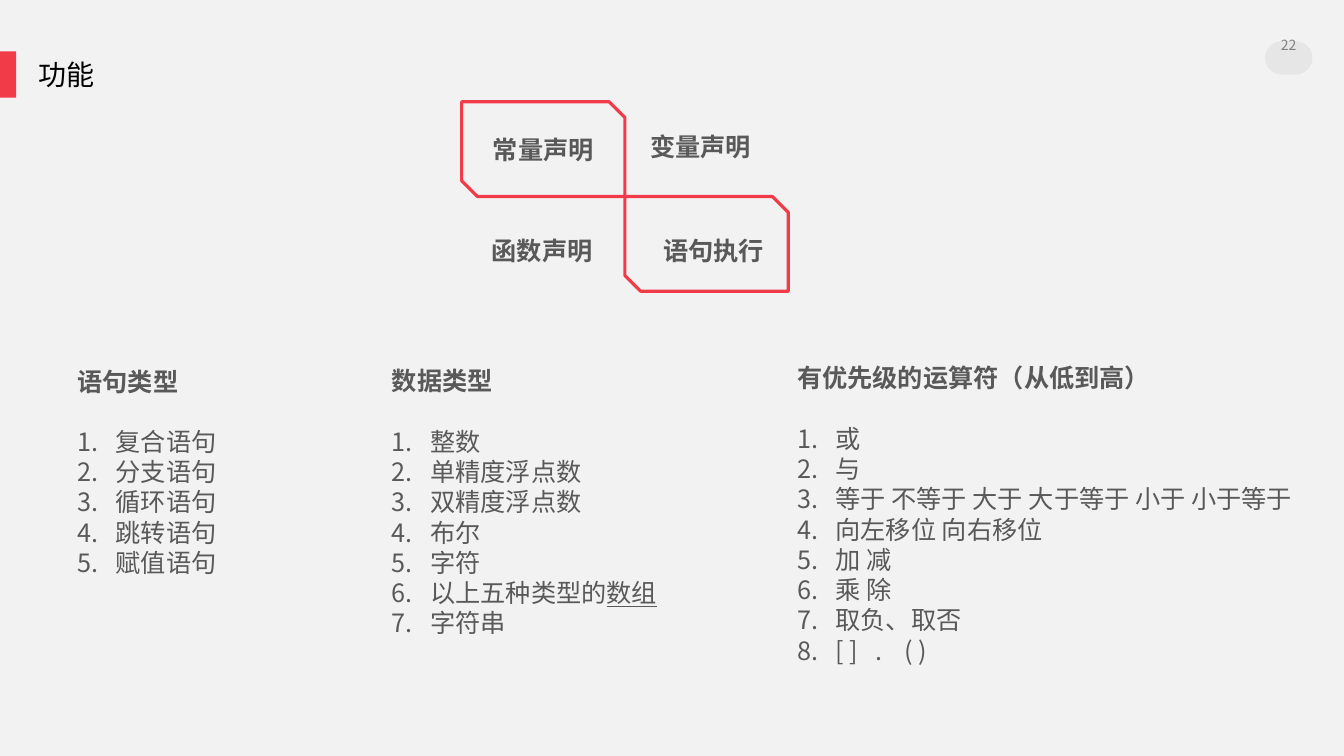
import pptx
import pptx.dml.color
import pptx.enum.shapes
import pptx.enum.text
import pptx.oxml
import pptx.oxml.ns
import pptx.util

FONT = "Noto Sans CJK SC"
RED, GREY, PALE, BACK = "F23B48", "595959", "E7E6E6", "F2F2F2"
SHAPE = pptx.enum.shapes.MSO_SHAPE
ALIGN = pptx.enum.text.PP_ALIGN
ANCHOR = pptx.enum.text.MSO_ANCHOR


def rgb(value):
    return pptx.dml.color.RGBColor.from_string(value)


def add_run(p, text, size=18, color=GREY, bold=False, underline=False):
    r = p.add_run()
    r.text = text
    r.font.size = pptx.util.Pt(size)
    r.font.name = FONT
    r.font.bold = bold
    r.font.underline = underline
    r.font.color.rgb = rgb(color)
    ea = pptx.oxml.parse_xml(f'<a:ea {pptx.oxml.ns.nsdecls("a")} typeface="{FONT}"/>')
    r.font._element.find(pptx.oxml.ns.qn("a:latin")).addnext(ea)


def set_line(p, points, after=0, align=ALIGN.LEFT):
    p.line_spacing = pptx.util.Pt(points)
    p.space_before = pptx.util.Pt(0)
    p.space_after = pptx.util.Pt(after)
    p.alignment = align


def set_number(p):
    pPr = p._p.get_or_add_pPr()
    indent = pptx.util.Inches(0.38)
    pPr.set("marL", str(indent))
    pPr.set("indent", str(-indent))
    ns = pptx.oxml.ns.nsdecls("a")
    pPr.append(pptx.oxml.parse_xml(f'<a:buFont {ns} typeface="+mj-lt"/>'))
    pPr.append(pptx.oxml.parse_xml(f'<a:buAutoNum {ns} type="arabicPeriod"/>'))


class Deck:
    COLUMNS, ROWS = 40, 22.5

    def __init__(self, prs):
        self.col = prs.slide_width / self.COLUMNS
        self.row = prs.slide_height / self.ROWS
        self.s = prs.slides.add_slide(prs.slide_layouts[5])
        self.s.background.fill.solid()
        self.s.background.fill.fore_color.rgb = rgb(BACK)

    def box(self, x, y, w, h):
        return [round(v) for v in (x * self.col, y * self.row, w * self.col, h * self.row)]

    def title(self, area, text):
        sp = self.s.shapes.title
        sp.left, sp.top, sp.width, sp.height = self.box(*area)
        tf = sp.text_frame
        tf.vertical_anchor = ANCHOR.TOP
        tf.auto_size = pptx.enum.text.MSO_AUTO_SIZE.NONE
        set_line(tf.paragraphs[0], 21.6)
        add_run(tf.paragraphs[0], text, size=20, color="000000")

    def shape(self, kind, area, fill=None, line=None):
        sp = self.s.shapes.add_shape(kind, *self.box(*area))
        sp.shadow.inherit = False
        if fill:
            sp.fill.solid()
            sp.fill.fore_color.rgb = rgb(fill)
        else:
            sp.fill.background()
        if line:
            sp.line.color.rgb = rgb(line)
            sp.line.width = pptx.util.Pt(2.25)
        else:
            sp.line.fill.background()
        return sp

    def card(self, area, text=None):
        sp = self.shape(SHAPE.SNIP_2_DIAG_RECTANGLE, area, line=RED)
        if text:
            tf = sp.text_frame
            tf.vertical_anchor = ANCHOR.MIDDLE
            set_line(tf.paragraphs[0], 21.6, align=ALIGN.CENTER)
            add_run(tf.paragraphs[0], text, bold=True)

    def text_box(self, area, wrap=True):
        tf = self.s.shapes.add_textbox(*self.box(*area)).text_frame
        tf.word_wrap = wrap
        return tf

    def label(self, area, text, points):
        p = self.text_box(area, wrap=False).paragraphs[0]
        set_line(p, points)
        add_run(p, text, bold=True)

    def page_number(self, area, text):
        self.shape(SHAPE.ROUNDED_RECTANGLE, area, fill=PALE).adjustments[0] = 0.5
        x, y, w, h = area
        tf = self.text_box((x, y - 0.15, w, h + 0.3))
        tf.margin_left = tf.margin_right = tf.margin_top = tf.margin_bottom = 0
        set_line(tf.paragraphs[0], 12, align=ALIGN.CENTER)
        add_run(tf.paragraphs[0], text, size=10, color="808080")

    def numbered(self, area, heading, items):
        tf = self.text_box(area)
        set_line(tf.paragraphs[0], 21.6, after=21.6)
        add_run(tf.paragraphs[0], heading, bold=True)
        for plain, *marked in items:
            p = tf.add_paragraph()
            set_line(p, 21.6)
            set_number(p)
            add_run(p, plain)
            for text in marked:
                add_run(p, text, underline=True)


def main():
    prs = pptx.Presentation()
    prs.slide_width = pptx.util.Inches(13.33)
    prs.slide_height = pptx.util.Inches(7.5)
    deck = Deck(prs)

    deck.shape(SHAPE.RECTANGLE, (0, 1.53, 0.48, 1.38), fill=RED)
    deck.page_number((37.65, 1.23, 1.41, 0.99), "22")
    deck.title((0.84, 1.65, 12.51, 1.38), "功能")

    deck.numbered((2.01, 10.74, 7, 7.56), "语句类型", [
        ("复合语句",), ("分支语句",), ("循环语句",), ("跳转语句",), ("赋值语句",)])
    deck.numbered((11.37, 10.74, 11.67, 9.39), "数据类型", [
        ("整数",), ("单精度浮点数",), ("双精度浮点数",), ("布尔",), ("字符",),
        ("以上五种类型的", "数组"), ("字符串",)])
    deck.numbered((23.43, 10.65, 16.47, 10.29), "有优先级的运算符（从低到高）", [
        ("或",), ("与",), ("等于 不等于 大于 大于等于 小于 小于等于",),
        ("向左移位 向右移位",), ("加 减",), ("乘 除",), ("取负、取否",),
        ("[ ]   .    ( )",)])

    x, y, w, h = 13.74, 3.03, 4.86, 2.82
    deck.card((x, y, w, h), "常量声明")
    deck.card((x + w, y + h, w, h))
    deck.label((19.05, 3.75, 3.63, 2.13), "变量声明", 21.6)
    for left, text in ((14.34, "函数声明"), (19.44, "语句执行")):
        deck.label((left, 6.54, 3.63, 1.38), text, 29)

    prs.save("out.pptx")


if __name__ == "__main__":
    main()
